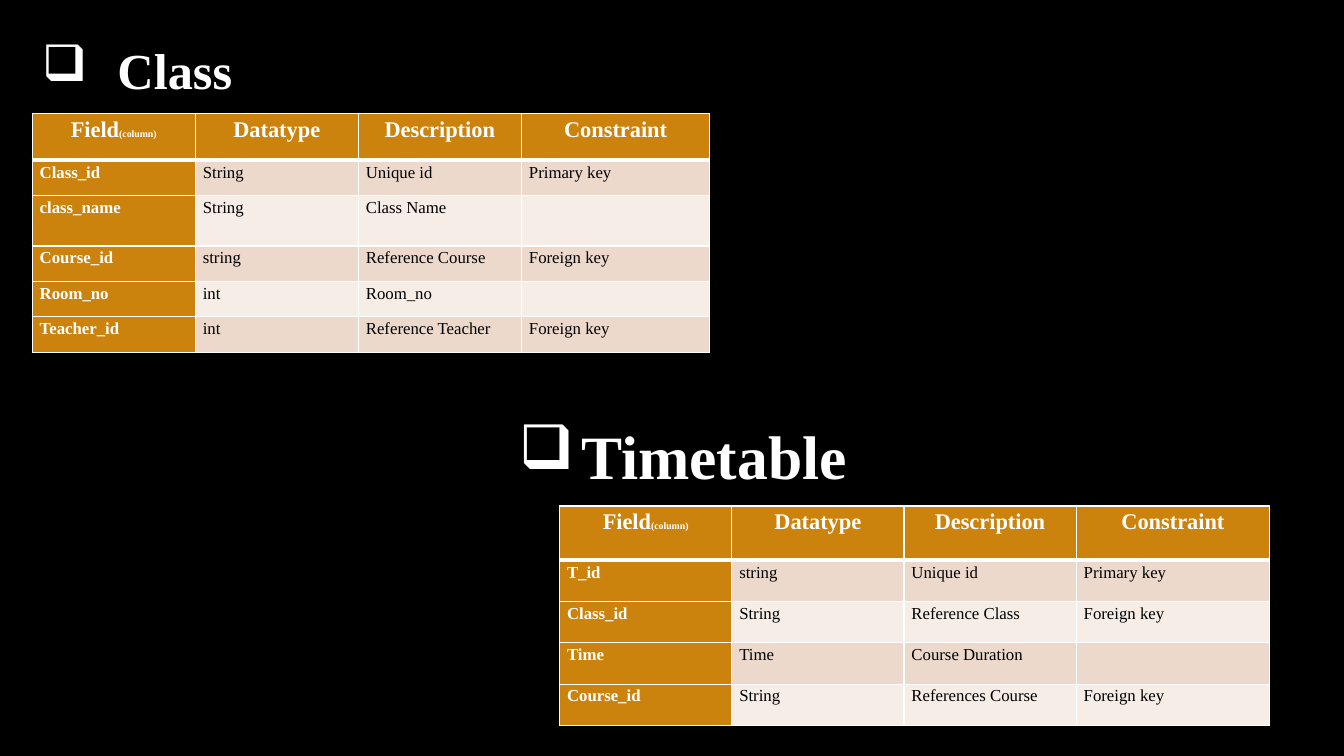
from lxml import etree
from pptx import Presentation
from pptx.dml.color import RGBColor
from pptx.enum import text
from pptx.oxml import ns
from pptx.util import Cm, Pt

COLORS = {"background": "000000", "header": "CC830E", "light": "FFFFFF",
          "dark": "000000", "odd": "ECD9CC", "even": "F6EDE7"}
HEADINGS = ["Field", "Datatype", "Description", "Constraint"]

TABLES = [
    {"left": 0.81, "top": 2.87, "columns": [4.11, 4.11, 4.11, 4.75],
     "heights": [1.17, 0.89, 1.27, 0.89, 0.89, 0.91],
     "rows": [["Class_id", "String", "Unique id", "Primary key"],
              ["class_name", "String", "Class Name", ""],
              ["Course_id", "string", "Reference Course", "Foreign key"],
              ["Room_no", "int", "Room_no", ""],
              ["Teacher_id", "int", "Reference Teacher", "Foreign key"]]},
    {"left": 14.1, "top": 12.75, "columns": [4.34, 4.34, 4.34, 4.88],
     "heights": [1.37, 1.04, 1.04, 1.04, 1.04],
     "rows": [["T_id", "string", "Unique id", "Primary key"],
              ["Class_id", "String", "Reference Class", "Foreign key"],
              ["Time", "Time", "Course Duration", ""],
              ["Course_id", "String", "References Course", "Foreign key"]]},
]

# wording, box (left, top, width, height), font size, hanging indent, top inset
TITLES = [
    ("Class", (0.81, 0.79, 34.47, 2.87), 36, 1.9, 0.2),
    ("Timetable", (12.83, 10.39, 10.21, 2.13), 44, 1.57, 0.13),
]


def add_run(paragraph, wording, size, color="light", bold=True):
    run = paragraph.add_run()
    run.text = wording
    font_format = {"name": "Times New Roman", "size": Pt(size), "bold": bold}
    for name, value in font_format.items():
        setattr(run.font, name, value)
    run.font.color.rgb = RGBColor.from_string(COLORS[color])


def add_borders(cell, widths):
    """Draw white cell borders; widths maps each side (L, R, T, B) to points."""
    properties = cell._tc.get_or_add_tcPr()
    for side, width in widths.items():
        line = etree.SubElement(properties, ns.qn(f"a:ln{side}"), w=str(Pt(width)))
        fill = etree.SubElement(line, ns.qn("a:solidFill"))
        etree.SubElement(fill, ns.qn("a:srgbClr"), val=COLORS["light"])


presentation = Presentation()
presentation.slide_width = Cm(33.87)
presentation.slide_height = Cm(19.05)
slide = presentation.slides.add_slide(presentation.slide_layouts[6])
slide.background.fill.solid()
slide.background.fill.fore_color.rgb = RGBColor.from_string(COLORS["background"])

for data in TABLES:
    rows = [HEADINGS] + data["rows"]
    frame = slide.shapes.add_table(
        len(rows), len(HEADINGS), Cm(data["left"]), Cm(data["top"]),
        Cm(sum(data["columns"])), Cm(sum(data["heights"])))
    table = frame.table
    for column, width in zip(table.columns, data["columns"]):
        column.width = Cm(width)
    for row, height in zip(table.rows, data["heights"]):
        row.height = Cm(height)

    for row_index, row in enumerate(rows):
        is_header = row_index == 0
        for column_index, wording in enumerate(row):
            cell = table.cell(row_index, column_index)
            cell_format = {"margin_left": Cm(0.19), "margin_right": Cm(0.19),
                           "margin_top": 0, "margin_bottom": 0}
            for name, value in cell_format.items():
                setattr(cell, name, value)
            add_borders(cell, {"L": 1, "R": 1, "T": 3 if row_index == 1 else 1,
                               "B": 3 if is_header else 1})
            is_accent = is_header or column_index == 0
            band = "odd" if row_index % 2 else "even"
            cell.fill.solid()
            cell.fill.fore_color.rgb = RGBColor.from_string(
                COLORS["header" if is_accent else band])

            if not wording:
                continue
            paragraph = cell.text_frame.paragraphs[0]
            paragraph.line_spacing = 1.15
            if is_header:
                paragraph.alignment = text.PP_ALIGN.CENTER
            add_run(paragraph, wording, 16 if is_header else 12,
                    "light" if is_accent else "dark", is_accent)
            if wording == "Field":
                add_run(paragraph, "(column)", 7)

for wording, box, size, indent, inset in TITLES:
    title = slide.shapes.add_textbox(*map(Cm, box))
    title.text_frame.word_wrap = True
    title.text_frame.margin_top = Cm(inset)
    paragraph = title.text_frame.paragraphs[0]
    properties = paragraph._p.get_or_add_pPr()
    properties.set("marL", str(Cm(indent)))
    properties.set("indent", str(-Cm(indent)))
    etree.SubElement(properties, ns.qn("a:buChar"), char="❑")
    add_run(paragraph, wording, size)

presentation.save("out.pptx")
